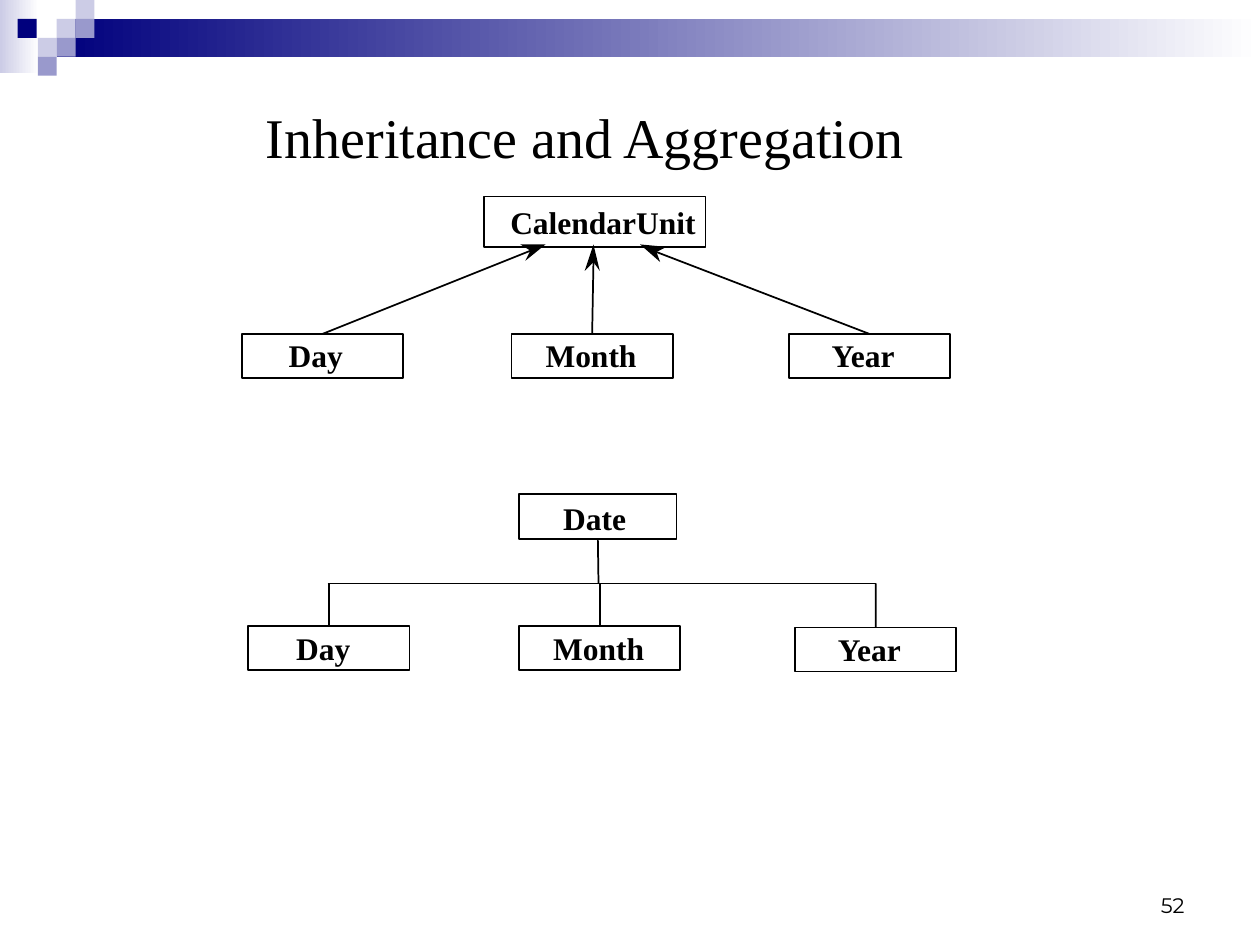
from lxml.etree import SubElement
from pptx import Presentation
from pptx.dml.color import RGBColor
from pptx.enum.shapes import MSO_CONNECTOR as Link, MSO_SHAPE as Kind
from pptx.enum.text import MSO_ANCHOR as Anchor, MSO_AUTO_SIZE as Fit, PP_ALIGN as Align
from pptx.oxml.ns import qn
from pptx.util import Inches, Pt

TOP, BOTTOM = 0, 2


def paint(color, value):
    color.rgb = RGBColor.from_string(value)


def write(frame, text, size=18, font="Times New Roman", bold=False,
          align=Align.LEFT, anchor=Anchor.TOP, pad=(0, 0, 0, 0), wrap=False):
    frame.auto_size = Fit.NONE
    frame.word_wrap = wrap
    frame.vertical_anchor = anchor
    (frame.margin_left, frame.margin_top,
     frame.margin_right, frame.margin_bottom) = map(Inches, pad)
    frame.text = text
    line = frame.paragraphs[0]
    line.alignment = align
    line.font.size, line.font.name, line.font.bold = Pt(size), font, bold
    paint(line.font.color, Board.ink)


class Board:
    ink = "000000"
    navy, mid, pale, white = "00007D", "9999CC", "CCCCE6", "FFFFFF"

    def __init__(self, slide):
        self.slide = slide
        self.shapes = slide.shapes

    def title(self, text, *area):
        shape = self.shapes.title
        shape.left, shape.top, shape.width, shape.height = map(Inches, area)
        write(shape.text_frame, text, size=32)

    def label(self, text, *area, **style):
        shape = self.shapes.add_textbox(*map(Inches, area))
        write(shape.text_frame, text, **style)

    def rect(self, *area):
        shape = self.shapes.add_shape(Kind.RECTANGLE, *map(Inches, area))
        shape.shadow.inherit = False
        return shape

    def tile(self, color, *area):
        shape = self.rect(*area)
        shape.fill.solid()
        paint(shape.fill.fore_color, color)
        shape.line.fill.background()

    def fade(self, color, *area):
        shape = self.rect(*area)
        shape.fill.gradient()
        shape.fill.gradient_angle = 0
        for stop, value in zip(shape.fill.gradient_stops, (color, self.white)):
            paint(stop.color, value)
        shape.line.fill.background()

    def box(self, text, x, y, w, h, inset, drop=0.02):
        shape = self.rect(x, y, w, h)
        shape.fill.background()
        shape.line.width = Pt(1)
        paint(shape.line.color, self.ink)
        write(shape.text_frame, text, bold=True, pad=(inset, drop, 0, 0))
        return shape

    def line(self, start, end, joint=None, side=TOP):
        link = self.shapes.add_connector(Link.STRAIGHT, *map(Inches, start + end))
        link.line.width = Pt(1)
        paint(link.line.color, self.ink)
        SubElement(link._element.spPr, qn("a:effectLst"))
        if joint is not None:
            link.begin_connect(joint, side)

    def head(self, *points):
        spots = [(Inches(x), Inches(y)) for x, y in points]
        path = self.shapes.build_freeform(*spots[0])
        path.add_line_segments(spots[1:], close=True)
        shape = path.convert_to_shape()
        shape.shadow.inherit = False
        shape.fill.solid()
        paint(shape.fill.fore_color, self.ink)
        shape.line.fill.background()


def banner(board):
    board.fade(board.pale, 0, 0, 0.31, 0.58)
    board.fade(board.navy, 0.45, 0.15, 9.55, 0.3)
    tiles = [(board.pale, 0.45, 0.15), (board.pale, 0.6, 0), (board.mid, 0.6, 0.15),
             (board.pale, 0.3, 0.3), (board.navy, 0.14, 0.15),
             (board.mid, 0.45, 0.3), (board.mid, 0.3, 0.45)]
    for color, x, y in tiles:
        board.tile(color, x, y, 0.15, 0.15)


def inherit(board):
    board.box("CalendarUnit", 3.84, 1.56, 1.76, 0.4, 0.21, 0.05)
    kids = [
        ("Day", 1.92, 0.37, [(4.33, 1.94), (4.17, 2.07), (4.21, 1.99), (4.13, 1.94)]),
        ("Month", 4.06, 0.27, [(4.71, 1.94), (4.76, 2.15), (4.71, 2.08), (4.64, 2.15)]),
        ("Year", 6.26, 0.34, [(5.08, 1.94), (5.29, 1.96), (5.21, 2), (5.24, 2.08)]),
    ]
    for name, x, inset, tip in kids:
        kid = board.box(name, x, 2.65, 1.28, 0.35, inset)
        board.line((x + 0.64, 2.65), tip[2], kid)
        board.head(*tip)


def combine(board):
    rail = 4.63
    whole = board.box("Date", 4.12, 3.92, 1.25, 0.36, 0.35, 0.04)
    board.line((4.75, 4.28), (4.75, rail), whole, BOTTOM)
    board.line((2.6, rail), (6.95, rail))
    parts = [("Day", 1.97, 4.97, 0.38), ("Month", 4.12, 4.97, 0.27),
             ("Year", 6.31, 4.98, 0.34)]
    for name, x, y, inset in parts:
        part = board.box(name, x, y, 1.28, 0.35, inset)
        mid = x + 0.64
        board.line((mid, y), (mid, rail), part)


def main():
    deck = Presentation()
    deck.slide_width, deck.slide_height = Inches(10), Inches(7.5)
    board = Board(deck.slides.add_slide(deck.slide_layouts[5]))
    banner(board)
    board.title("Inheritance and Aggregation", 2.11, 0.81, 6.09, 0.53)
    inherit(board)
    combine(board)
    board.label("52", 7.17, 6.83, 2.33, 0.5, size=12, font="Montserrat",
                align=Align.RIGHT, anchor=Anchor.BOTTOM,
                pad=(0.1, 0.05, 0.1, 0.05), wrap=True)
    deck.save("out.pptx")


if __name__ == "__main__":
    main()
